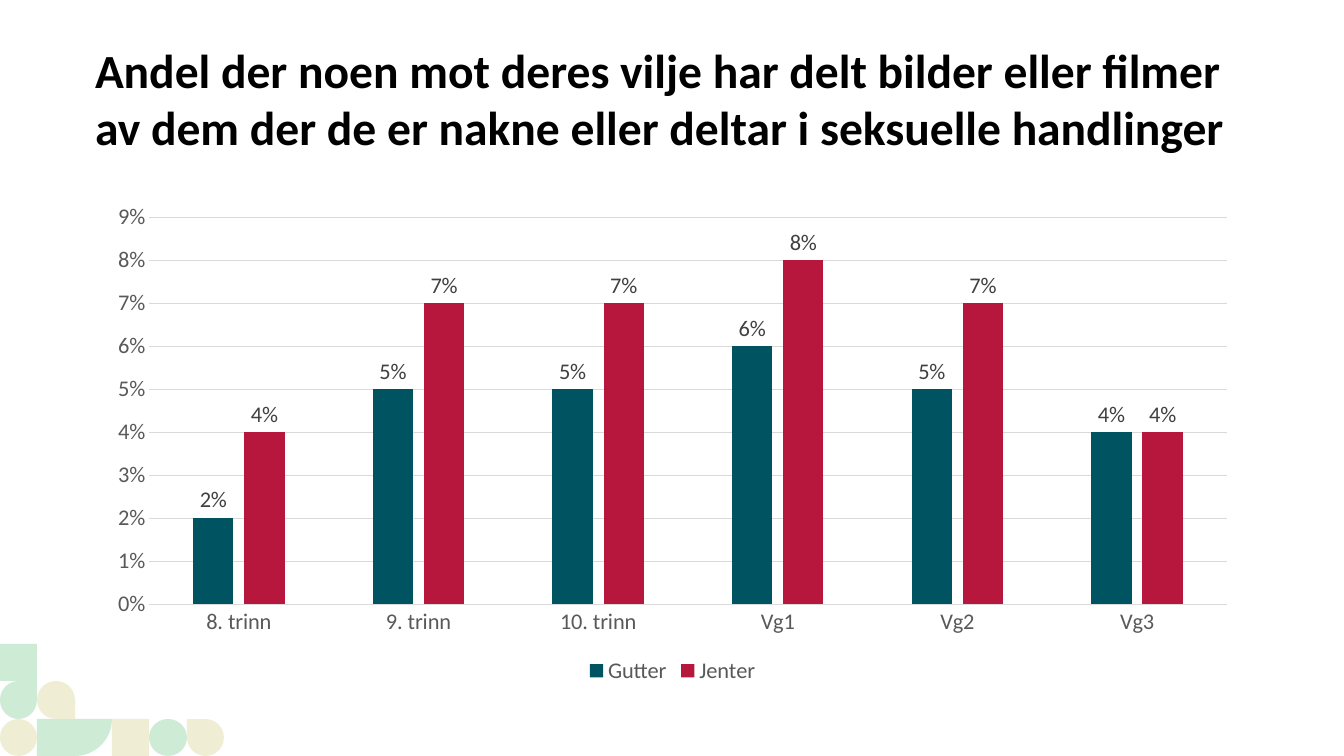
import math
from dataclasses import dataclass

import pptx
import pptx.chart.data
import pptx.dml.color
import pptx.enum.chart
import pptx.enum.shapes
import pptx.enum.text
import pptx.util

SCALE = 914400 / 100.8
FACE = "Calibri"
COLORS = {
    "black": "000000",
    "label": "404040",
    "axis": "595959",
    "grid": "D9D9D9",
    "teal": "005462",
    "red": "B7173D",
    "mint": "CEEBD6",
    "sand": "F0EDD5",
}
KINDS = pptx.enum.shapes.MSO_SHAPE
CHARTS = pptx.enum.chart


@dataclass
class Tile:
    col: int
    row: int
    kind: KINDS
    color: str
    turn: int = 0


@dataclass
class Series:
    name: str
    color: str
    values: tuple[float, ...]


TILES = [
    Tile(3, 1, KINDS.RECTANGLE, "sand"),
    Tile(0, 1, KINDS.OVAL, "sand"),
    Tile(4, 1, KINDS.OVAL, "mint"),
    Tile(0, 3, KINDS.RECTANGLE, "mint"),
    Tile(0, 2, KINDS.TEAR, "mint"),
    Tile(1, 2, KINDS.TEAR, "sand", 90),
    Tile(5, 1, KINDS.TEAR, "sand", 270),
]
GRADES = ("8. trinn", "9. trinn", "10. trinn", "Vg1", "Vg2", "Vg3")
SERIES = [
    Series("Gutter", "teal", (0.02, 0.05, 0.05, 0.06, 0.05, 0.04)),
    Series("Jenter", "red", (0.04, 0.07, 0.07, 0.08, 0.07, 0.04)),
]
TITLE = (
    "Andel der noen mot deres vilje har delt bilder eller filmer "
    "av dem der de er nakne eller deltar i seksuelle handlinger"
)


def px(size: float) -> int:
    return round(size * SCALE)


def edge(step: int) -> int:
    return round(112 * step / 3)


def rgb(name: str) -> pptx.dml.color.RGBColor:
    return pptx.dml.color.RGBColor.from_string(COLORS[name])


def paint(shape, color: str) -> None:
    shape.shadow.inherit = False
    shape.fill.solid()
    shape.fill.fore_color.rgb = rgb(color)
    shape.line.fill.background()


def style(font, size: int, color: str) -> None:
    font.name = FACE
    font.size = pptx.util.Pt(size)
    font.color.rgb = rgb(color)


def rule(line) -> None:
    line.color.rgb = rgb("grid")
    line.width = pptx.util.Pt(0.75)


def add_tile(slide, tile: Tile) -> None:
    left, top = edge(tile.col), 756 - edge(tile.row)
    wide = edge(tile.col + 1) - left
    high = edge(tile.row) - edge(tile.row - 1)
    shape = slide.shapes.add_shape(tile.kind, px(left), px(top), px(wide), px(high))
    shape.rotation = tile.turn
    paint(shape, tile.color)


def add_leaf(slide) -> None:
    left, mid, side, top = edge(1), edge(2), edge(1), 756 - edge(1)
    arc = []
    for step in range(25):
        turn = math.radians(90 * step / 24)
        arc.append((px(mid + side * math.cos(turn)), px(top + side * math.sin(turn))))
    form = slide.shapes.build_freeform(px(left), px(top))
    form.add_line_segments(arc + [(px(left), px(756))], close=True)
    paint(form.convert_to_shape(), "mint")


def add_title(slide) -> None:
    title = slide.shapes.title
    title.left, title.top, title.width, title.height = px(95), px(98), px(1155), px(57)
    frame = title.text_frame
    frame.word_wrap = True
    frame.auto_size = pptx.enum.text.MSO_AUTO_SIZE.NONE
    frame.vertical_anchor = pptx.enum.text.MSO_ANCHOR.BOTTOM
    frame.margin_left = frame.margin_right = 0
    frame.margin_top = frame.margin_bottom = 0
    para = frame.paragraphs[0]
    para.alignment = pptx.enum.text.PP_ALIGN.LEFT
    run = para.add_run()
    run.text = TITLE
    run.font.bold = True
    style(run.font, 34, "black")


def add_bars(slide) -> None:
    data = pptx.chart.data.CategoryChartData(number_format="0%")
    data.categories = GRADES
    for item in SERIES:
        data.add_series(item.name, item.values)
    chart = slide.shapes.add_chart(
        CHARTS.XL_CHART_TYPE.COLUMN_CLUSTERED,
        px(95), px(194), px(1155), px(495), data,
    ).chart
    style(chart.font, 16, "black")
    chart.has_title = False
    chart.has_legend = True
    chart.legend.position = CHARTS.XL_LEGEND_POSITION.BOTTOM
    chart.legend.include_in_layout = False
    style(chart.legend.font, 16, "axis")

    for axis in (chart.category_axis, chart.value_axis):
        axis.major_tick_mark = CHARTS.XL_TICK_MARK.NONE
        axis.minor_tick_mark = CHARTS.XL_TICK_MARK.NONE
        style(axis.tick_labels.font, 16, "axis")
    rule(chart.category_axis.format.line)
    scale = chart.value_axis
    scale.minimum_scale, scale.maximum_scale, scale.major_unit = 0, 0.09, 0.01
    scale.tick_labels.number_format = "0%"
    scale.tick_labels.number_format_is_linked = False
    scale.format.line.fill.background()
    rule(scale.major_gridlines.format.line)

    plot = chart.plots[0]
    plot.vary_by_categories = False
    plot.gap_width, plot.overlap = 219, -27
    for bars, item in zip(plot.series, SERIES):
        bars.format.fill.solid()
        bars.format.fill.fore_color.rgb = rgb(item.color)
        labels = bars.data_labels
        labels.show_value = True
        labels.position = CHARTS.XL_LABEL_POSITION.OUTSIDE_END
        labels.number_format = "0%"
        labels.number_format_is_linked = False
        style(labels.font, 16, "label")


def main() -> None:
    deck = pptx.Presentation()
    deck.slide_width, deck.slide_height = px(1344), px(756)
    slide = deck.slides.add_slide(deck.slide_layouts[5])
    add_leaf(slide)
    for tile in TILES:
        add_tile(slide, tile)
    add_title(slide)
    add_bars(slide)
    deck.save("out.pptx")


if __name__ == "__main__":
    main()
